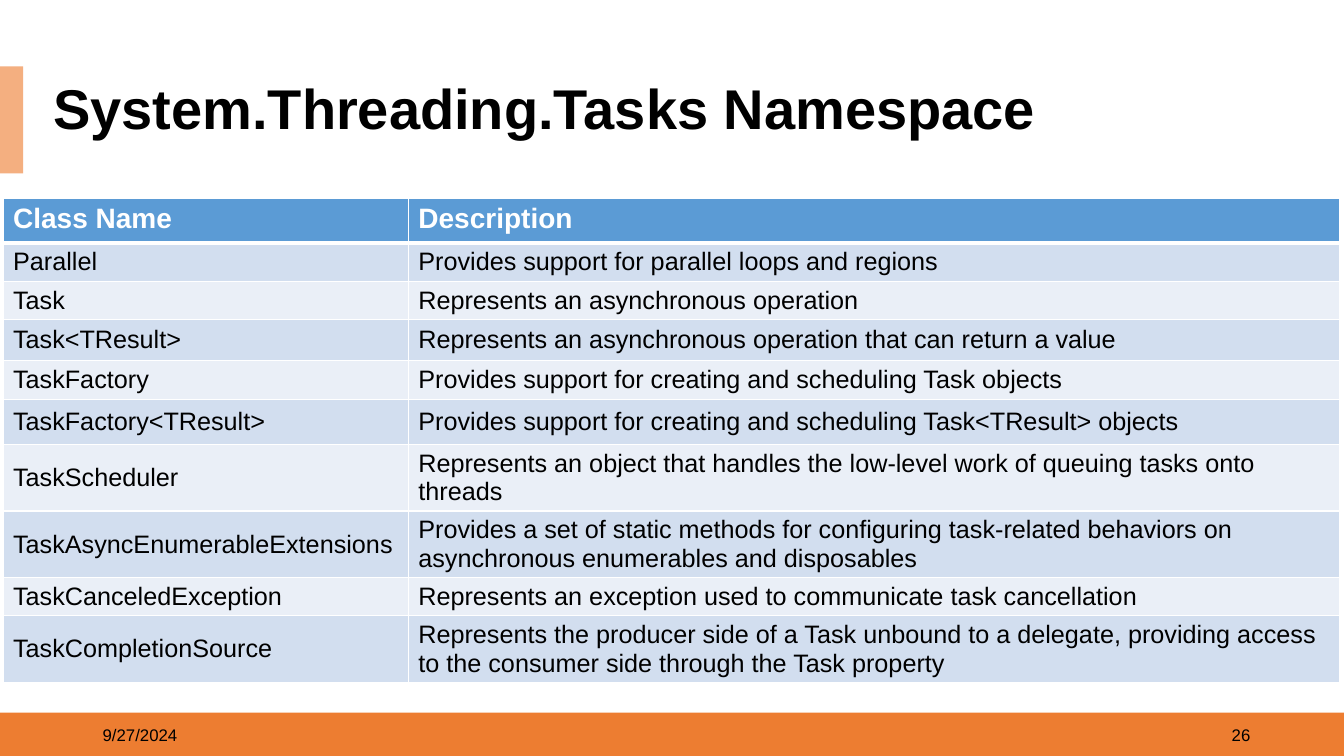
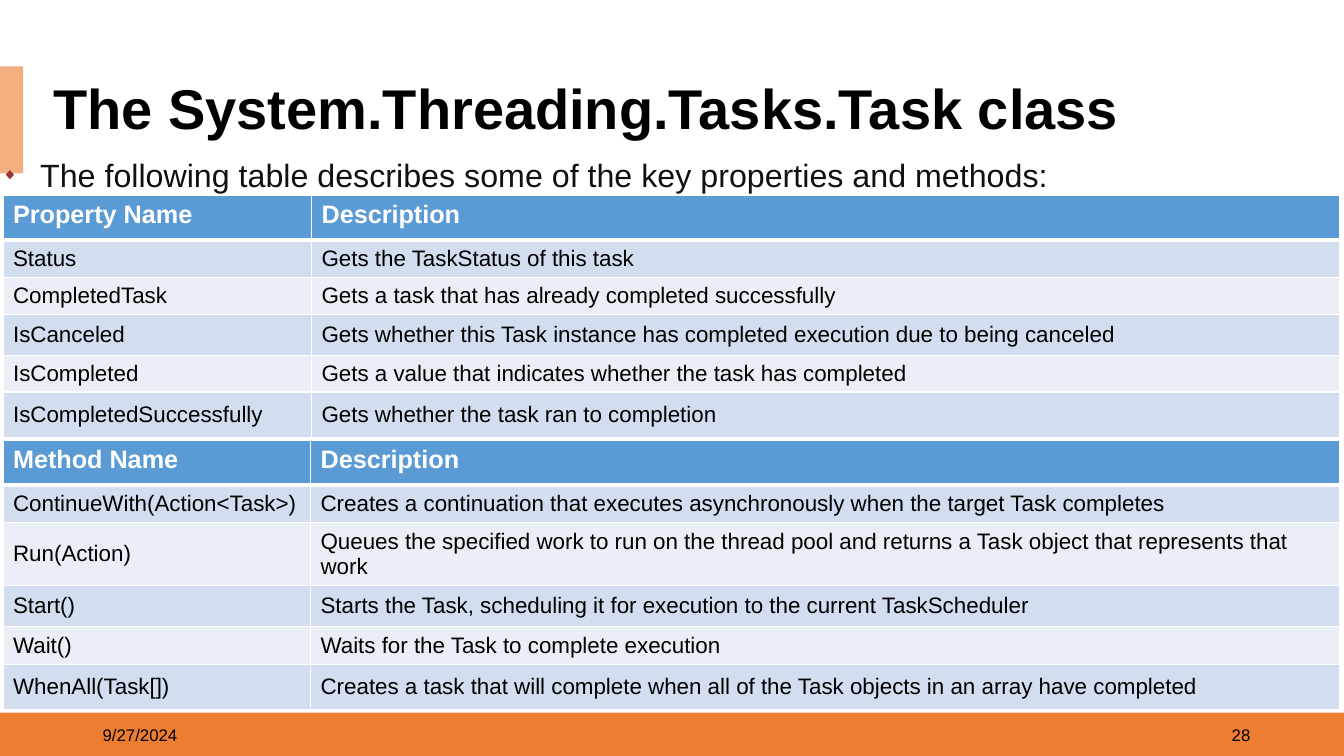
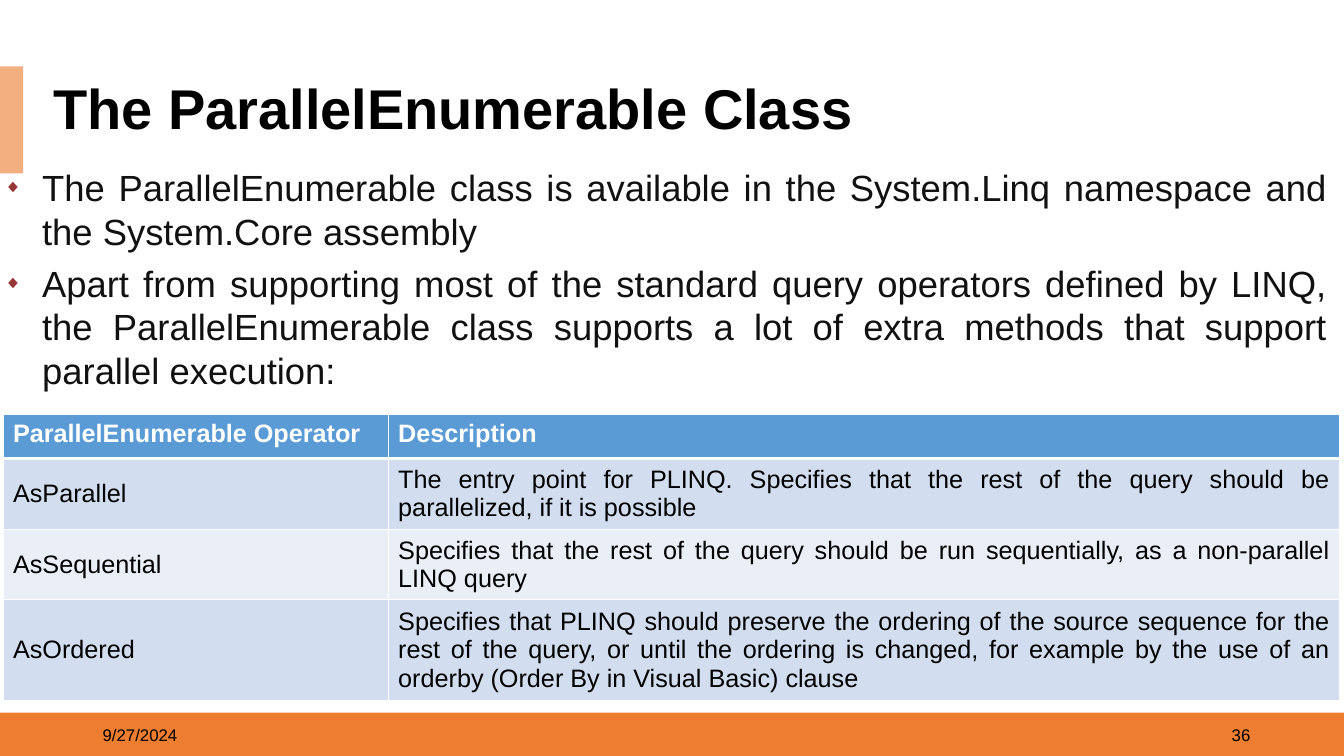
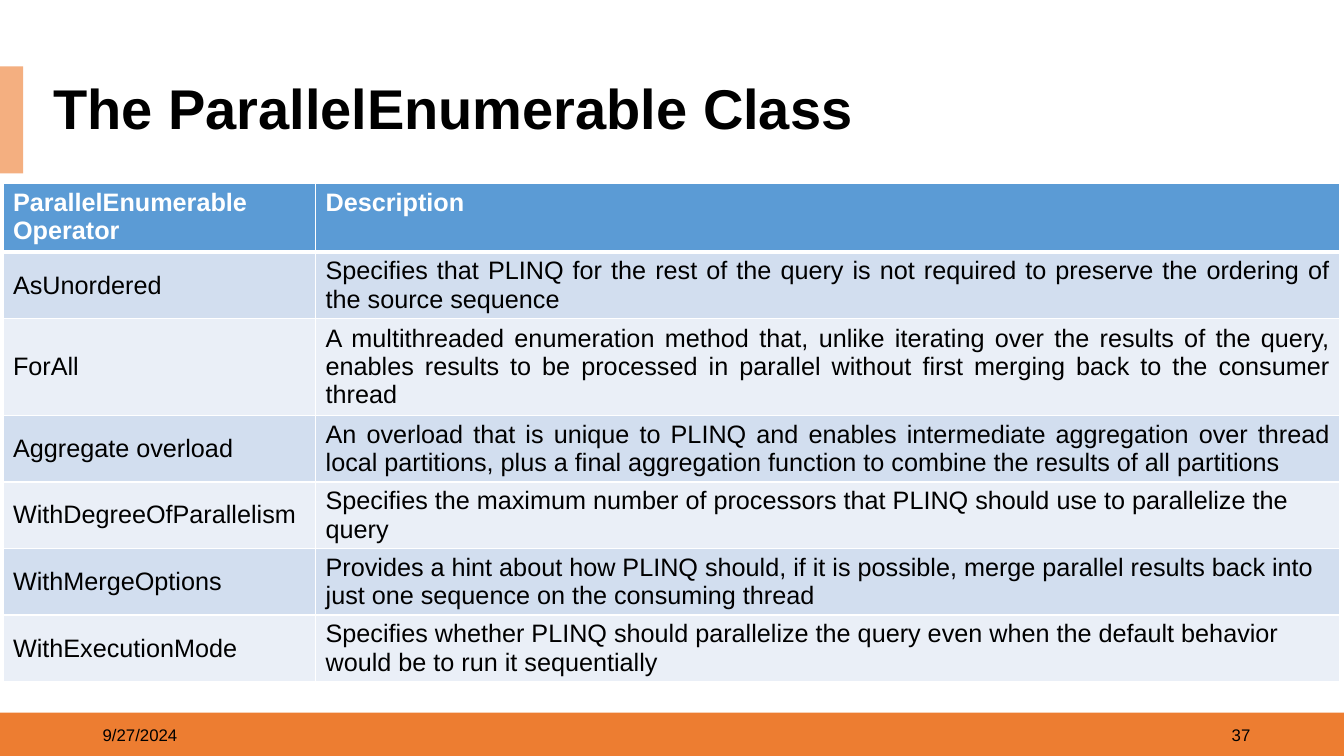
"""Build four slides of class reference tables for parallel programming."""
import pptx
import pptx.dml.color
import pptx.enum.shapes
import pptx.enum.text
import pptx.oxml
import pptx.oxml.ns
import pptx.util

Inches, Pt = pptx.util.Inches, pptx.util.Pt
ALIGN = pptx.enum.text.PP_ALIGN
MIDDLE = pptx.enum.text.MSO_ANCHOR.MIDDLE
TOP = pptx.enum.text.MSO_ANCHOR.TOP

FONT = "Arial"
WHITE, BLACK, BODY = "FFFFFF", "000000", "111111"
BAND, ACCENT, BULLET = "ED7D31", "F4AF80", "973735"
HEADER, STRIPES = "5B9BD5", ("D2DEEF", "EAEFF7")
WIDTH, HEIGHT = 13.33, 7.5
TABLE_WIDTH = 13.26
DATE = "9/27/2024"

SLIDES = [
    {
        "title": "System.Threading.Tasks Namespace",
        "number": 26,
        "tables": [{
            "at": (0.03, 1.97), "first_column": 4.02, "sizes": (20, 18),
            "heights": [0.44, 0.38, 0.38, 0.41, 0.38, 0.45, 0.66, 0.66, 0.38, 0.66],
            "rows": [
                ("Class Name", "Description"),
                ("Parallel", "Provides support for parallel loops and regions"),
                ("Task", "Represents an asynchronous operation"),
                ("Task<TResult>", "Represents an asynchronous operation that can return a value"),
                ("TaskFactory", "Provides support for creating and scheduling Task objects"),
                ("TaskFactory<TResult>",
                 "Provides support for creating and scheduling Task<TResult> objects"),
                ("TaskScheduler",
                 "Represents an object that handles the low-level work of queuing tasks onto threads"),
                ("TaskAsyncEnumerableExtensions",
                 "Provides a set of static methods for configuring task-related behaviors on "
                 "asynchronous enumerables and disposables"),
                ("TaskCanceledException",
                 "Represents an exception used to communicate task cancellation"),
                ("TaskCompletionSource",
                 "Represents the producer side of a Task unbound to a delegate, providing access "
                 "to the consumer side through the Task property"),
            ],
        }],
    },
    {
        "title": "The System.Threading.Tasks.Task class",
        "number": 28,
        "bullets": {
            "box": (-0.08, 1.49, 11.95, 0.49), "size": 23, "gap": 0,
            "items": ["The following table describes some of the key properties and methods:"],
        },
        "tables": [
            {
                "at": (0.03, 1.94), "first_column": 3.06, "sizes": (18, 16),
                "heights": [0.44, 0.37, 0.37, 0.41, 0.36, 0.45],
                "rows": [
                    ("Property Name", "Description"),
                    ("Status", "Gets the TaskStatus of this task"),
                    ("CompletedTask", "Gets a task that has already completed successfully"),
                    ("IsCanceled",
                     "Gets whether this Task instance has completed execution due to being canceled"),
                    ("IsCompleted", "Gets a value that indicates whether the task has completed"),
                    ("IsCompletedSuccessfully", "Gets whether the task ran to completion"),
                ],
            },
            {
                "at": (0.03, 4.37), "first_column": 3.05, "sizes": (18, 16),
                "heights": [0.44, 0.37, 0.63, 0.41, 0.37, 0.45],
                "rows": [
                    ("Method Name", "Description"),
                    ("ContinueWith(Action<Task>)",
                     "Creates a continuation that executes asynchronously when the target Task "
                     "completes"),
                    ("Run(Action)",
                     "Queues the specified work to run on the thread pool and returns a Task "
                     "object that represents that work"),
                    ("Start()",
                     "Starts the Task, scheduling it for execution to the current TaskScheduler"),
                    ("Wait()", "Waits for the Task to complete execution"),
                    ("WhenAll(Task[])",
                     "Creates a task that will complete when all of the Task objects in an array "
                     "have completed"),
                ],
            },
        ],
    },
    {
        "title": "The ParallelEnumerable Class",
        "number": 36,
        "bullets": {
            "box": (-0.06, 1.59, 13.34, 2.37), "size": 26, "gap": 3,
            "items": [
                "The ParallelEnumerable class is available in the System.Linq namespace and the "
                "System.Core assembly",
                "Apart from supporting most of the standard query operators defined by LINQ, the "
                "ParallelEnumerable class supports a lot of extra methods that support parallel "
                "execution:",
            ],
        },
        "tables": [{
            "at": (0.03, 4.11), "first_column": 3.82, "sizes": (18, 18), "justified": 3,
            "heights": [0.44, 0.7, 0.7, 1],
            "rows": [
                ("ParallelEnumerable Operator", "Description"),
                ("AsParallel",
                 "The entry point for PLINQ. Specifies that the rest of the query should be "
                 "parallelized, if it is possible"),
                ("AsSequential",
                 "Specifies that the rest of the query should be run sequentially, as a "
                 "non-parallel LINQ query"),
                ("AsOrdered",
                 "Specifies that PLINQ should preserve the ordering of the source sequence for "
                 "the rest of the query, or until the ordering is changed, for example by the "
                 "use of an orderby (Order By in Visual Basic) clause"),
            ],
        }],
    },
    {
        "title": "The ParallelEnumerable Class",
        "number": 37,
        "tables": [{
            "at": (0.03, 1.82), "first_column": 3.1, "sizes": (18, 18), "justified": 3,
            "heights": [0.66, 0.66, 0.94, 0.66, 0.66, 0.66, 0.66],
            "rows": [
                ("ParallelEnumerable Operator", "Description"),
                ("AsUnordered",
                 "Specifies that PLINQ for the rest of the query is not required to preserve the "
                 "ordering of the source sequence"),
                ("ForAll",
                 "A multithreaded enumeration method that, unlike iterating over the results of "
                 "the query, enables results to be processed in parallel without first merging "
                 "back to the consumer thread"),
                ("Aggregate overload",
                 "An overload that is unique to PLINQ and enables intermediate aggregation over "
                 "thread local partitions, plus a final aggregation function to combine the "
                 "results of all partitions"),
                ("WithDegreeOfParallelism",
                 "Specifies the maximum number of processors that PLINQ should use to "
                 "parallelize the query"),
                ("WithMergeOptions",
                 "Provides a hint about how PLINQ should, if it is possible, merge parallel "
                 "results back into just one sequence on the consuming thread"),
                ("WithExecutionMode",
                 "Specifies whether PLINQ should parallelize the query even when the default "
                 "behavior would be to run it sequentially"),
            ],
        }],
    },
]


def paint(target, color):
    target.fill.solid()
    target.fill.fore_color.rgb = pptx.dml.color.RGBColor.from_string(color)


def write(p, text, size=18, color=BLACK, bold=False, align=ALIGN.LEFT, spacing=None):
    p.alignment = align
    if spacing:
        p.line_spacing = spacing
    r = p.add_run()
    r.text = text
    r.font.name, r.font.size, r.font.bold = FONT, Pt(size), bold
    r.font.color.rgb = pptx.dml.color.RGBColor.from_string(color)


def add_box(s, box, anchor=MIDDLE):
    sp = s.shapes.add_textbox(*map(Inches, box))
    sp.text_frame.word_wrap = True
    sp.text_frame.vertical_anchor = anchor
    return sp


def add_bar(s, box, color):
    sp = s.shapes.add_shape(pptx.enum.shapes.MSO_SHAPE.RECTANGLE, *map(Inches, box))
    sp.shadow.inherit = False
    sp.line.fill.background()
    paint(sp, color)


def add_frame(s, title, number):
    add_bar(s, (0, 7.07, WIDTH, 0.44), BAND)
    add_bar(s, (0, 0.66, 0.23, 1.06), ACCENT)
    footers = ((0.92, DATE, ALIGN.LEFT), (9.5, str(number), ALIGN.RIGHT))
    for left, text, align in footers:
        sp = add_box(s, (left, 7.09, 3, 0.4))
        write(sp.text_frame.paragraphs[0], text, size=12, align=align)
    sp = add_box(s, (0.43, 0.79, 12.58, 0.63))
    paint(sp, WHITE)
    write(sp.text_frame.paragraphs[0], title, size=40, bold=True, spacing=0.9)


def set_bullet(p):
    pPr = p._p.get_or_add_pPr()
    pPr.set("marL", str(Inches(0.38)))
    pPr.set("indent", str(Inches(-0.38)))
    ns = pptx.oxml.ns.nsdecls("a")
    for xml in (
        f'<a:buClr {ns}><a:srgbClr val="{BULLET}"/></a:buClr>',
        f'<a:buSzPct {ns} val="50000"/>',
        f'<a:buFont {ns} typeface="{FONT}"/>',
        f'<a:buChar {ns} char="◆"/>',
    ):
        pPr.append(pptx.oxml.parse_xml(xml))


def add_bullets(s, box, size, gap, items):
    tf = add_box(s, box, TOP).text_frame
    tf.auto_size = pptx.enum.text.MSO_AUTO_SIZE.SHAPE_TO_FIT_TEXT
    for i, text in enumerate(items):
        p = tf.add_paragraph() if i else tf.paragraphs[0]
        write(p, text, size=size, color=BODY, align=ALIGN.JUSTIFY, spacing=1.0)
        p.space_before = p.space_after = Pt(gap)
        set_bullet(p)


def set_borders(cell, top, bottom):
    tcPr = cell._tc.get_or_add_tcPr()
    ns = pptx.oxml.ns.nsdecls("a")
    for i, (side, width) in enumerate((("L", 1), ("R", 1), ("T", top), ("B", bottom))):
        tcPr.insert(i, pptx.oxml.parse_xml(
            f'<a:ln{side} {ns} w="{Pt(width)}"><a:solidFill><a:srgbClr val="{WHITE}"/>'
            f'</a:solidFill></a:ln{side}>'))


def add_class_table(s, at, first_column, sizes, heights, rows, justified=0):
    box = (*at, TABLE_WIDTH, sum(heights))
    table = s.shapes.add_table(len(rows), 2, *map(Inches, box)).table
    table.horz_banding = False
    for column, width in zip(table.columns, (first_column, TABLE_WIDTH - first_column)):
        column.width = Inches(width)
    for i, (row, height) in enumerate(zip(rows, heights)):
        table.rows[i].height = Inches(height)
        head = i == 0
        for j, text in enumerate(row):
            cell = table.cell(i, j)
            cell.vertical_anchor = TOP if head else MIDDLE
            cell.margin_top = Inches(0.05 if head else 0.03)
            cell.margin_bottom = Inches(0.03)
            paint(cell, HEADER if head else STRIPES[(i - 1) % 2])
            set_borders(cell, 3 if i == 1 else 1, 3 if head else 1)
            write(cell.text_frame.paragraphs[0], text, size=sizes[0 if head else 1],
                  color=WHITE if head else BLACK, bold=head,
                  align=ALIGN.JUSTIFY if j and 0 < i <= justified else ALIGN.LEFT)


def main():
    prs = pptx.Presentation()
    prs.slide_width, prs.slide_height = Inches(WIDTH), Inches(HEIGHT)
    for content in SLIDES:
        s = prs.slides.add_slide(prs.slide_layouts[6])
        add_frame(s, content["title"], content["number"])
        if "bullets" in content:
            add_bullets(s, **content["bullets"])
        for table in content["tables"]:
            add_class_table(s, **table)
    prs.save("out.pptx")


if __name__ == "__main__":
    main()
